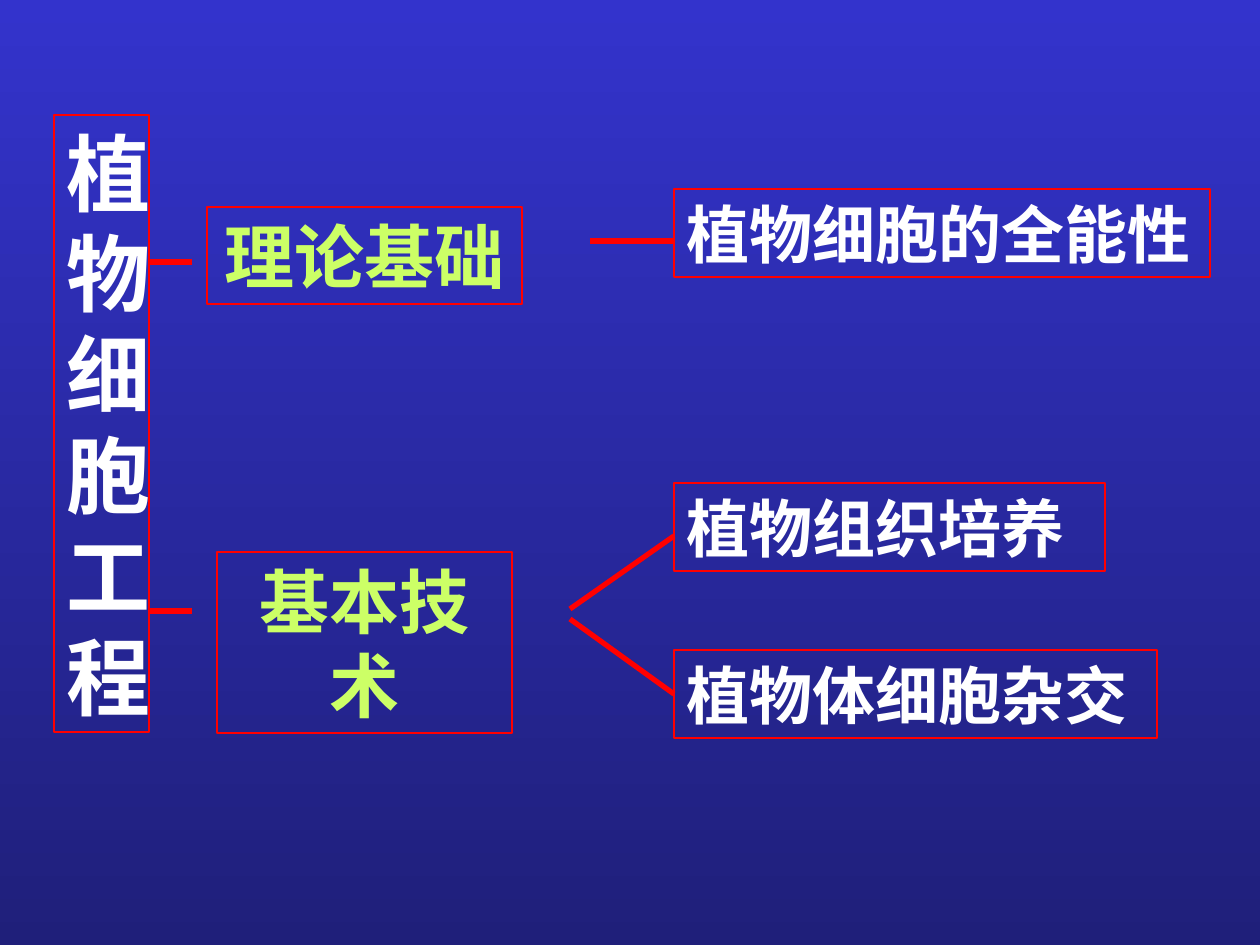
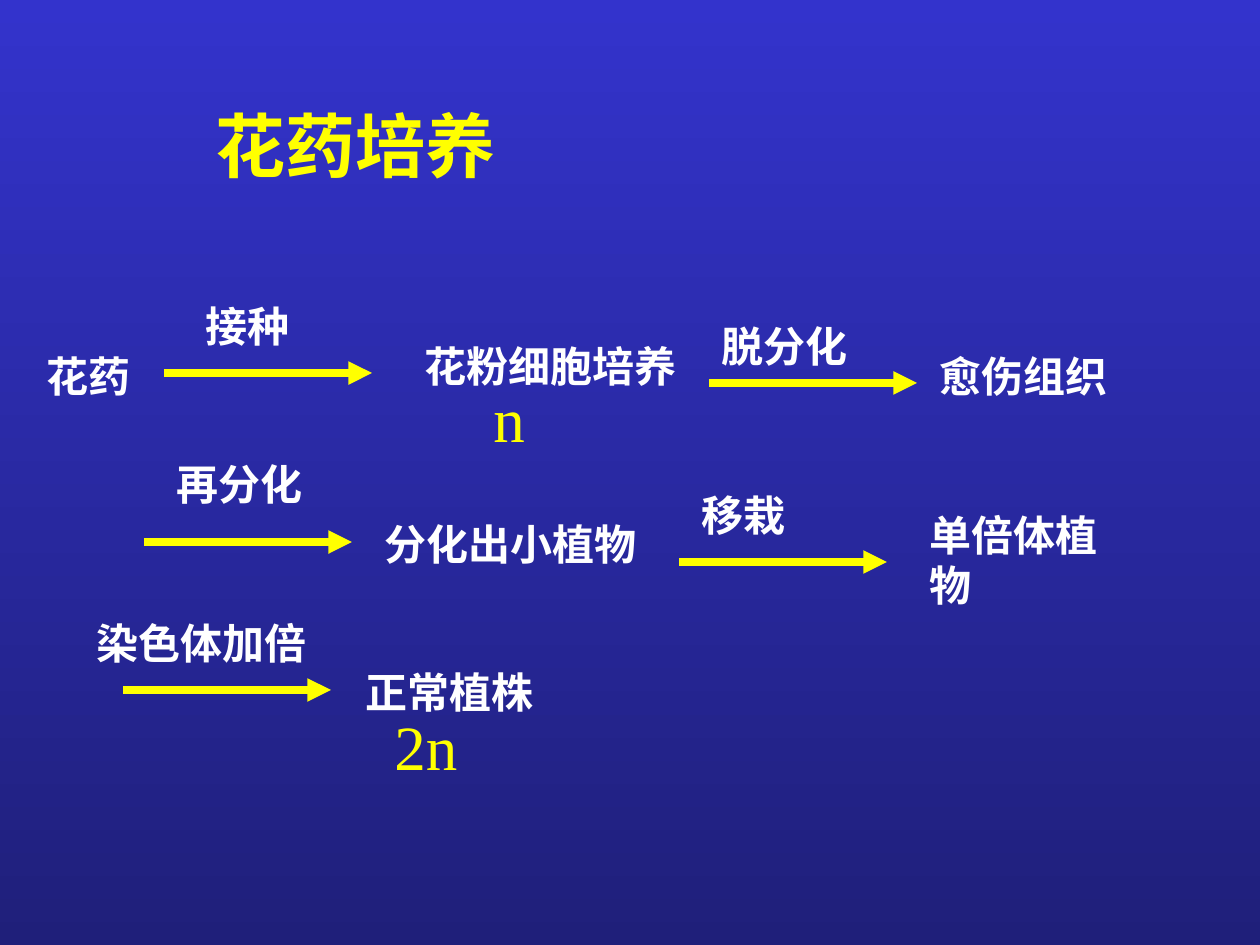
import lxml.etree
import pptx
import pptx.dml.color
import pptx.enum.dml
import pptx.enum.shapes
import pptx.enum.text
import pptx.oxml.ns
import pptx.util

PX_PER_INCH = 126
FONT = "Times New Roman"
WHITE, YELLOW, LIME, RED = "FFFFFF", "FFFF00", "CCFF66", "FF0000"
BACKGROUND = ("3333CC", "1F1F7A")
ALIGN = pptx.enum.text.PP_ALIGN
ARROW_LENGTH = 208


def px(value):
    return pptx.util.Emu(round(value * 914400 / PX_PER_INCH))


def color(hex_string):
    return pptx.dml.color.RGBColor.from_string(hex_string)


def set_background(master):
    """Vertical gradient shared by all slides."""
    fill = master.background.fill
    fill.gradient()
    fill.gradient_angle = 270
    for stop, position, hex_string in zip(fill.gradient_stops, (0, 1), BACKGROUND):
        stop.position = position
        stop.color.rgb = color(hex_string)


def write_text(shape, text, size, text_color, bold=True, align=ALIGN.LEFT):
    frame = shape.text_frame
    frame.text = text
    frame.word_wrap = True
    frame.auto_size = pptx.enum.text.MSO_AUTO_SIZE.SHAPE_TO_FIT_TEXT
    frame.vertical_anchor = pptx.enum.text.MSO_ANCHOR.TOP
    paragraph = frame.paragraphs[0]
    paragraph.alignment = align
    font = paragraph.runs[0].font
    font.name = FONT
    font.size = pptx.util.Pt(size)
    font.bold = bold
    font.color.rgb = color(text_color)


def add_text(slide, left, top, width, height, text, size=24, text_color=WHITE, bold=True):
    shape = slide.shapes.add_textbox(px(left), px(top), px(width), px(height))
    write_text(shape, text, size, text_color, bold)


def add_box(slide, left, top, width, height, text, size, text_color=WHITE,
            align=ALIGN.LEFT, border=0.75):
    """Unfilled rectangle with a red border."""
    shape = slide.shapes.add_shape(pptx.enum.shapes.MSO_SHAPE.RECTANGLE,
                                   px(left), px(top), px(width), px(height))
    shape.shadow.inherit = False
    shape.fill.background()
    shape.line.color.rgb = color(RED)
    shape.line.width = pptx.util.Pt(border)
    write_text(shape, text, size, text_color, align=align)
    return shape


def add_line(slide, start, end, line_color, width, arrow=False):
    line = slide.shapes.add_connector(pptx.enum.shapes.MSO_CONNECTOR.STRAIGHT,
                                      *map(px, start + end))
    line.line.color.rgb = color(line_color)
    line.line.width = pptx.util.Pt(width)
    qn = pptx.oxml.ns.qn
    if arrow:
        lxml.etree.SubElement(line.line._get_or_add_ln(), qn("a:tailEnd"), type="triangle")
    lxml.etree.SubElement(line._element.spPr, qn("a:effectLst"))
    return line


def add_branch_diagram(slide, left, top):
    # Root topic, one character per line
    add_box(slide, left, top, 95, 617, "植物细胞工程", 48, border=1)

    # Main branches
    for x, y, width, height, text in ((153, 92, 315, 97, "理论基础"),
                                      (163, 437, 295, 181, "基本技术")):
        add_box(slide, left + x, top + y, width, height, text, 40, LIME, ALIGN.CENTER)

    # Details
    details = [add_box(slide, left + 620, top + y, width, 88, text, 36)
               for y, width, text in ((74, 536, "植物细胞的全能性"),
                                      (368, 431, "植物组织培养"),
                                      (535, 483, "植物体细胞杂交"))]

    # Branch lines
    lines = [add_line(slide, (left + x1, top + y1), (left + x2, top + y2), RED, 3)
             for x1, y1, x2, y2 in ((95, 147, 138, 147),
                                    (95, 496, 138, 496),
                                    (536, 126, 620, 126),
                                    (516, 494, 620, 421),
                                    (516, 504, 620, 579))]
    lines[-1].end_connect(details[-1], 1)


def add_step(slide, left, top, label, result):
    """Arrow from (left, top), its label above and the result to its right."""
    add_line(slide, (left, top), (left + ARROW_LENGTH, top), YELLOW, 4.5, arrow=True)
    for x, y, width, height, text in (label, result):
        add_text(slide, left + x, top + y, width, height, text)


def add_culture_flow(slide, left, top):
    # Starting material
    add_text(slide, left, top + 50, 179, 63, "花药")

    # Steps: arrow start, then label and result relative to it
    steps = (
        (130, 79, (29, -79, 169, 63, "接种"), (248, -39, 307, 63, "花粉细胞培养")),
        (675, 89, (0, -69, 169, 63, "脱分化"), (218, -39, 228, 63, "愈伤组织")),
        (110, 248, (20, -90, 169, 63, "再分化"), (228, -30, 318, 63, "分化出小植物")),
        (645, 268, (10, -79, 169, 63, "移栽"), (238, -59, 228, 113, "单倍体植物")),
        (89, 396, (-39, -79, 267, 63, "染色体加倍"), (230, -30, 228, 63, "正常植株")),
    )
    for x, y, label, result in steps:
        add_step(slide, left + x, top + y, label, result)

    # Chromosome sets
    for x, y, text in ((447, 79, "n"), (348, 407, "2n")):
        add_text(slide, left + x, top + y, 100, 88, text, 36, YELLOW, bold=False)


def set_title(slide, left, top, width, height, text):
    title = slide.shapes.title
    title.left, title.top, title.width, title.height = map(px, (left, top, width, height))
    write_text(title, text, 40, YELLOW)


def main():
    presentation = pptx.Presentation()
    presentation.slide_width, presentation.slide_height = px(1260), px(945)
    set_background(presentation.slide_master)
    title_only, blank = presentation.slide_layouts[5], presentation.slide_layouts[6]

    # Overview of plant cell engineering
    overview = presentation.slides.add_slide(blank)
    add_branch_diagram(overview, 54, 115)

    # Anther culture
    culture = presentation.slides.add_slide(title_only)
    set_title(culture, 203, 96, 307, 97, "花药培养")
    add_culture_flow(culture, 34, 294)

    presentation.save("out.pptx")


if __name__ == "__main__":
    main()
